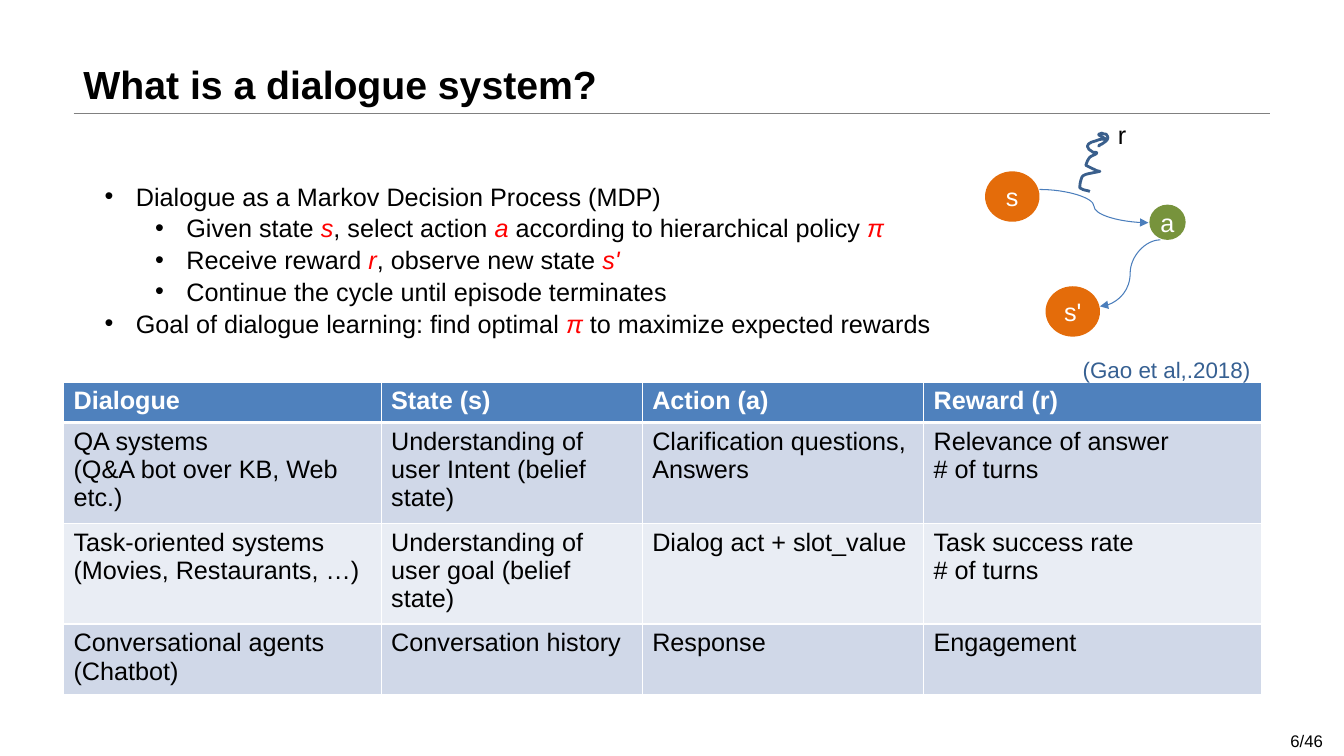
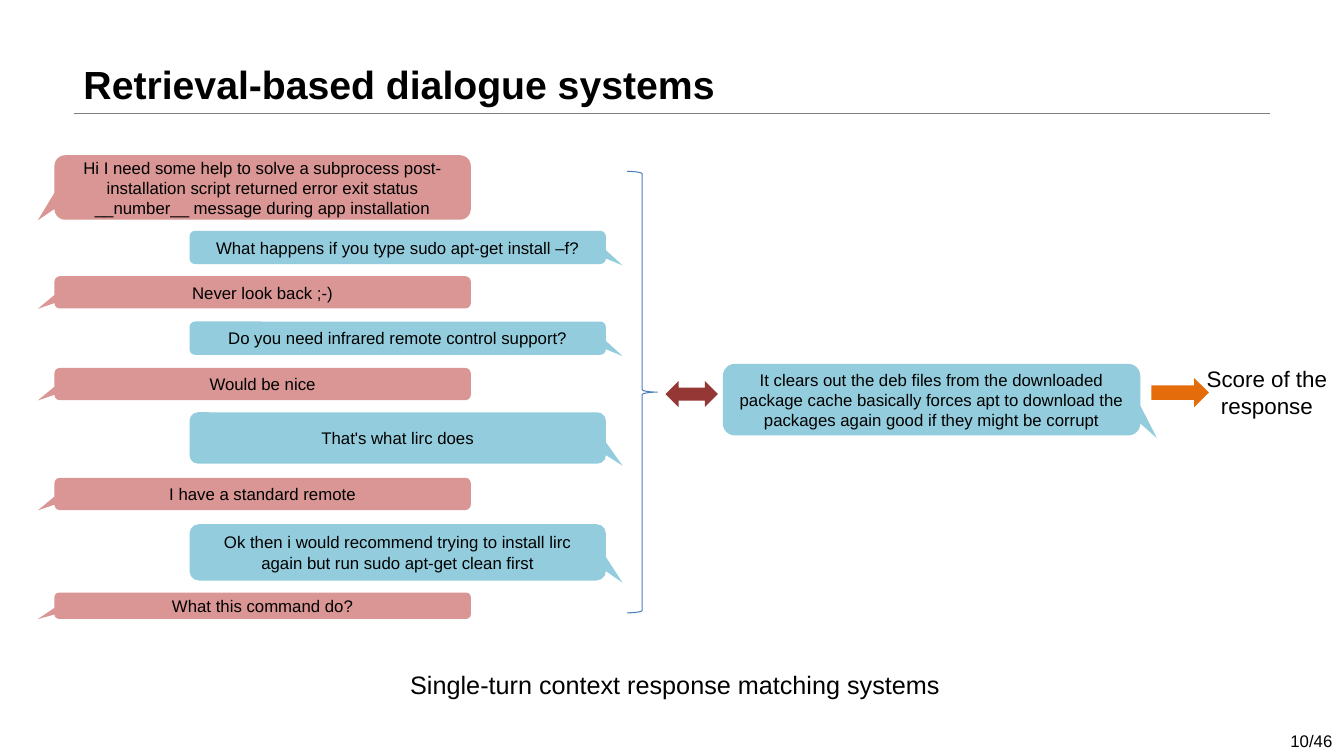
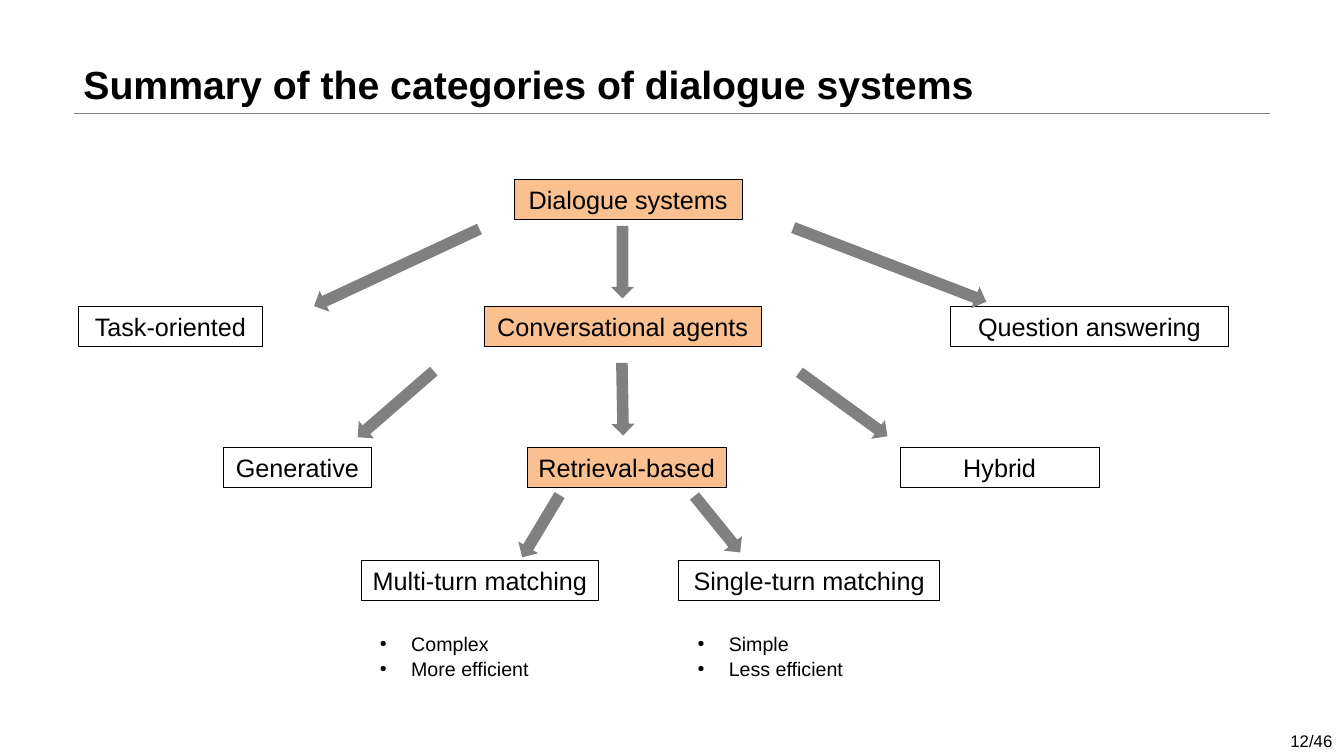
from dataclasses import dataclass

from lxml.etree import SubElement
from pptx import Presentation
from pptx.dml.color import RGBColor
from pptx.enum.shapes import MSO_CONNECTOR, MSO_SHAPE
from pptx.enum.text import MSO_ANCHOR, PP_ALIGN
from pptx.oxml.ns import qn
from pptx.util import Inches, Pt


@dataclass(frozen=True)
class Theme:
    font: str = "Arial"
    black: str = "000000"
    white: str = "FFFFFF"
    gray: str = "808080"
    red: str = "FF0000"
    orange: str = "E46C0A"
    peach: str = "FAC090"
    green: str = "77933C"
    maroon: str = "953735"
    pink: str = "D99694"
    aqua: str = "93CDDD"
    blue: str = "4F81BD"
    line_blue: str = "4B7EBC"
    scribble_blue: str = "3A5F8C"
    citation_blue: str = "366092"
    band_dark: str = "D0D8E8"
    band_light: str = "E9EDF4"
    title_size: int = 28
    body_size: int = 18
    label_size: int = 16
    list_size: int = 14
    small_size: int = 12


THEME = Theme()
PAGE_COUNT = 46

MDP_POINTS = [
    (0, "Dialogue as a Markov Decision Process (MDP)"),
    (1, "Given state |s|, select action |a| according to hierarchical policy |π|"),
    (1, "Receive reward |r|, observe new state |s'|"),
    (1, "Continue the cycle until episode terminates"),
    (0, "Goal of dialogue learning: find optimal |π| to maximize expected rewards"),
]

DIALOGUE_TABLE = [
    ["Dialogue", "State (s)", "Action (a)", "Reward (r)"],
    ["QA systems\n(Q&A bot over KB, Web etc.)",
     "Understanding of user Intent (belief state)",
     "Clarification questions, Answers",
     "Relevance of answer\n# of turns"],
    ["Task-oriented systems\n(Movies, Restaurants, …)",
     "Understanding of user goal (belief state)",
     "Dialog act + slot_value",
     "Task success rate\n# of turns"],
    ["Conversational agents\n(Chatbot)", "Conversation history", "Response", "Engagement"],
]

# Start point, then two control points and an end point for each curve.
REWARD_SCRIBBLE = [
    (10.81, 1.9),
    (10.79, 1.89), (10.77, 1.89), (10.74, 1.88),
    (10.73, 1.87), (10.71, 1.87), (10.71, 1.86),
    (10.71, 1.82), (10.72, 1.79), (10.73, 1.76),
    (10.74, 1.74), (10.75, 1.74), (10.77, 1.73),
    (10.8, 1.72), (10.87, 1.71), (10.91, 1.7),
    (10.79, 1.67), (10.93, 1.71), (10.83, 1.67),
    (10.81, 1.66), (10.77, 1.64), (10.77, 1.64),
    (10.78, 1.61), (10.79, 1.58), (10.81, 1.56),
    (10.83, 1.54), (10.86, 1.54), (10.88, 1.52),
    (10.88, 1.51), (10.86, 1.51), (10.84, 1.51),
    (10.83, 1.5), (10.81, 1.49), (10.8, 1.48),
    (10.76, 1.44), (10.81, 1.41), (10.86, 1.4),
    (10.87, 1.4), (10.88, 1.39), (10.89, 1.39),
    (10.91, 1.38), (10.94, 1.38), (10.97, 1.38),
    (10.89, 1.33), (10.87, 1.34), (10.93, 1.32),
    (10.94, 1.33), (10.96, 1.33), (10.97, 1.33),
    (11, 1.36), (10.99, 1.38), (10.97, 1.4),
    (10.9, 1.46), (10.9, 1.42), (10.9, 1.46),
]

# Top, height and text; the two speakers alternate.
CHAT_TURNS = [
    (1.54, 0.64, "Hi I need some help to solve a subprocess post-installation script "
                 "returned error exit status __number__ message during app installation"),
    (2.29, 0.33, "What happens if you type sudo apt-get install –f?"),
    (2.74, 0.32, "Never look back ;-)"),
    (3.19, 0.33, "Do you need infrared remote control support?"),
    (3.65, 0.32, "Would be nice"),
    (4.09, 0.51, "That's what lirc does"),
    (4.74, 0.32, "I have a standard remote"),
    (5.2, 0.56, "Ok then i would recommend trying to install lirc again "
                "but run sudo apt-get clean first"),
    (5.88, 0.26, "What this command do?"),
]
RESPONSE = ("It clears out the deb files from the downloaded package cache basically "
            "forces apt to download the packages again good if they might be corrupt")

# Left, top, width, text and whether the box lies on the highlighted branch.
CATEGORIES = [
    (5.1, 1.78, 2.26, "Dialogue systems", True),
    (0.78, 3.04, 1.82, "Task-oriented", False),
    (4.8, 3.04, 2.75, "Conversational agents", True),
    (9.43, 3.04, 2.75, "Question answering", False),
    (2.22, 4.44, 1.46, "Generative", False),
    (5.23, 4.44, 1.97, "Retrieval-based", True),
    (8.93, 4.44, 1.97, "Hybrid", False),
    (3.58, 5.56, 2.36, "Multi-turn matching", False),
    (6.73, 5.56, 2.59, "Single-turn matching", False),
]

# Left, top, length and rotation.
CATEGORY_ARROWS = [
    (3.82, 1.75, 1.81, 65), (6.06, 2.24, 0.72, 0), (8.71, 1.6, 2.05, 291),
    (3.81, 3.51, 1, 49), (6.06, 3.6, 0.72, 359), (8.25, 3.47, 1.08, 306),
    (5.25, 4.86, 0.72, 31), (7, 4.84, 0.72, 321),
]


def color(value):
    return RGBColor.from_string(value)


def inches(*values):
    return [Inches(value) for value in values]


def set_attributes(target, values):
    for name, value in values.items():
        setattr(target, name, value)


def add_bullet(paragraph, level):
    properties = paragraph._p.get_or_add_pPr()
    properties.set("marL", str(Inches(0.31 + 0.5 * level)))
    properties.set("indent", str(Inches(-0.31)))
    SubElement(properties, qn("a:buFont"), typeface=THEME.font)
    SubElement(properties, qn("a:buChar"), char="•")


def add_runs(paragraph, text, size, ink, bold=False):
    """Write the text; parts between bars become red italics."""
    for index, part in enumerate(text.split("|")):
        if not part:
            continue
        emphasized = index % 2 == 1
        run = paragraph.add_run()
        run.text = part
        set_attributes(run.font, {"name": THEME.font, "size": Pt(size),
                                  "bold": bold, "italic": emphasized})
        run.font.color.rgb = color(THEME.red if emphasized else ink)


def fill_frame(frame, lines, size, ink=THEME.black, bold=False, align=PP_ALIGN.LEFT, spacing=None):
    """Write one paragraph a line; a (level, text) line gets a bullet."""
    for index, line in enumerate(lines):
        paragraph = frame.add_paragraph() if index else frame.paragraphs[0]
        set_attributes(paragraph, {"alignment": align, "line_spacing": spacing})
        if isinstance(line, tuple):
            level, line = line
            paragraph.level = level
            add_bullet(paragraph, level)
        add_runs(paragraph, line, size, ink, bold)


def add_text(slide, box, lines, size, anchor=MSO_ANCHOR.TOP, **style):
    frame = slide.shapes.add_textbox(*inches(*box)).text_frame
    set_attributes(frame, {"word_wrap": True, "vertical_anchor": anchor})
    fill_frame(frame, lines, size, **style)
    return frame


def style_shape(shape, fill=None, line=None, weight=0.75):
    shape.shadow.inherit = False
    if fill:
        shape.fill.solid()
        shape.fill.fore_color.rgb = color(fill)
    else:
        shape.fill.background()
    if line:
        shape.line.color.rgb = color(line)
        shape.line.width = Pt(weight)
    else:
        shape.line.fill.background()


def add_shape(slide, kind, box, text=None, size=THEME.body_size, ink=THEME.black, **style):
    shape = slide.shapes.add_shape(kind, *inches(*box))
    style_shape(shape, **style)
    if text:
        set_attributes(shape.text_frame, {"word_wrap": True, "vertical_anchor": MSO_ANCHOR.MIDDLE})
        fill_frame(shape.text_frame, [text], size, ink, align=PP_ALIGN.CENTER)
    return shape


def add_line(slide, kind, points, ink, weight, arrow=False):
    connector = slide.shapes.add_connector(kind, *inches(*points))
    connector.line.color.rgb = color(ink)
    connector.line.width = Pt(weight)
    if arrow:
        SubElement(connector.line._get_or_add_ln(), qn("a:tailEnd"), type="triangle")
    SubElement(connector._element.spPr, qn("a:effectLst"))


def add_state(slide, box, text, fill):
    circle = add_shape(slide, MSO_SHAPE.OVAL, box, text, ink=THEME.white, fill=fill)
    set_attributes(circle.text_frame, {"margin_left": 0, "margin_right": 0,
                                       "margin_top": 0, "margin_bottom": 0})


def add_bubble(slide, box, text, from_user):
    fill, tail = (THEME.pink, (-0.54, 0.51)) if from_user else (THEME.aqua, (0.54, 0.54))
    bubble = add_shape(slide, MSO_SHAPE.ROUNDED_RECTANGULAR_CALLOUT, box, text,
                       THEME.small_size, fill=fill)
    for index, value in enumerate(tail):
        bubble.adjustments[index] = value


def add_curve(slide, points, ink, weight, steps=4):
    """Draw chained cubic curves as short segments."""
    sampled = []
    for first in range(0, len(points) - 1, 3):
        curve = points[first:first + 4]
        for step in range(1, steps + 1):
            t = step / steps
            weights = ((1 - t) ** 3, 3 * t * (1 - t) ** 2, 3 * t ** 2 * (1 - t), t ** 3)
            sampled.append(inches(*(sum(w * point[axis] for w, point in zip(weights, curve))
                                    for axis in (0, 1))))
    builder = slide.shapes.build_freeform(*inches(*points[0]))
    builder.add_line_segments(sampled, close=False)
    style_shape(builder.convert_to_shape(), line=ink, weight=weight)


def add_border(cell, side, weight):
    line = SubElement(cell._tc.get_or_add_tcPr(), qn(f"a:ln{side}"), w=str(Pt(weight)))
    SubElement(SubElement(line, qn("a:solidFill")), qn("a:srgbClr"), val=THEME.white)


def add_table(slide, box, column_widths, row_heights, rows):
    table = slide.shapes.add_table(len(rows), len(rows[0]), *inches(*box)).table
    for column, width in zip(table.columns, column_widths):
        column.width = Inches(width)
    for index, (height, texts) in enumerate(zip(row_heights, rows)):
        table.rows[index].height = Inches(height)
        header = index == 0
        fill = THEME.blue if header else (THEME.band_light, THEME.band_dark)[index % 2]
        ink = THEME.white if header else THEME.black
        weights = {"L": 1, "R": 1, "T": 3 if index == 1 else 1, "B": 3 if header else 1}
        for cell, text in zip(table.rows[index].cells, texts):
            for side, weight in weights.items():
                add_border(cell, side, weight)
            cell.fill.solid()
            cell.fill.fore_color.rgb = color(fill)
            fill_frame(cell.text_frame, text.split("\n"), THEME.body_size, ink, header)


def add_slide(presentation, title, page):
    """Add a slide with the shared title, rule and page number."""
    slide = presentation.slides.add_slide(presentation.slide_layouts[6])
    add_line(slide, MSO_CONNECTOR.STRAIGHT, (0.73, 1.12, 12.6, 1.12), THEME.gray, 0.25)
    add_text(slide, (0.73, 0, 11.86, 1.12), [title], THEME.title_size,
             MSO_ANCHOR.BOTTOM, bold=True, spacing=0.9)
    number = add_text(slide, (12.7, 7.2, 0.62, 0.3), [f"{page}/{PAGE_COUNT}"], THEME.small_size)
    number.margin_right = 0
    return slide


def build_definition(presentation):
    slide = add_slide(presentation, "What is a dialogue system?", 6)
    add_text(slide, (0.94, 1.73, 11.7, 1.62), MDP_POINTS, THEME.body_size, spacing=1.05)
    add_table(slide, (0.63, 3.79, 11.88, 3.1), (3.15, 2.59, 2.79, 3.35),
              (0.4, 1, 1, 0.7), DIALOGUE_TABLE)
    add_state(slide, (9.77, 1.7, 0.54, 0.5), "s", THEME.orange)
    add_state(slide, (10.37, 2.84, 0.54, 0.5), "s'", THEME.orange)
    add_state(slide, (11.4, 2.03, 0.36, 0.35), "a", THEME.green)
    for points in ((10.31, 1.88, 11.39, 2.21), (11.51, 2.38, 10.91, 3.04)):
        add_line(slide, MSO_CONNECTOR.CURVE, points, THEME.line_blue, 0.75, arrow=True)
    add_curve(slide, REWARD_SCRIBBLE, THEME.scribble_blue, 2)
    add_text(slide, (10.99, 1.13, 0.34, 0.4), ["r"], THEME.body_size)
    add_text(slide, (10.64, 3.48, 2.13, 0.37), ["(Gao et al,.2018)"], THEME.label_size,
             ink=THEME.citation_blue)


def build_retrieval(presentation):
    slide = add_slide(presentation, "Retrieval-based dialogue systems", 10)
    for index, (top, height, text) in enumerate(CHAT_TURNS):
        from_user = index % 2 == 0
        add_bubble(slide, (0.54 if from_user else 1.88, top, 4.13, height), text, from_user)
    add_shape(slide, MSO_SHAPE.RIGHT_BRACE, (6.22, 1.7, 0.3, 4.38), line=THEME.line_blue)
    add_shape(slide, MSO_SHAPE.LEFT_RIGHT_ARROW, (6.6, 3.78, 0.52, 0.26), fill=THEME.maroon)
    add_bubble(slide, (7.17, 3.61, 4.14, 0.71), RESPONSE, False)
    add_shape(slide, MSO_SHAPE.RIGHT_ARROW, (11.42, 3.75, 0.57, 0.29), fill=THEME.orange)
    add_text(slide, (11.77, 3.57, 1.59, 0.64), ["Score of the response"], THEME.label_size,
             align=PP_ALIGN.CENTER)
    add_text(slide, (3.97, 6.59, 5.65, 0.4), ["Single-turn context response matching systems"],
             THEME.body_size)


def build_summary(presentation):
    slide = add_slide(presentation, "Summary of the categories of dialogue systems", 12)
    for left, top, width, text, highlighted in CATEGORIES:
        add_shape(slide, MSO_SHAPE.RECTANGLE, (left, top, width, 0.4), text,
                  fill=THEME.peach if highlighted else None, line=THEME.black, weight=0.5)
    for left, top, length, rotation in CATEGORY_ARROWS:
        arrow = add_shape(slide, MSO_SHAPE.DOWN_ARROW, (left, top, 0.23, length), fill=THEME.gray)
        arrow.rotation = rotation
    for left, traits in ((3.67, ("Complex", "More efficient")), (6.82, ("Simple", "Less efficient"))):
        add_text(slide, (left, 6.21, 3, 0.57), [(0, trait) for trait in traits],
                 THEME.list_size, spacing=1.05)


def main():
    presentation = Presentation()
    set_attributes(presentation, {"slide_width": Inches(13.33), "slide_height": Inches(7.5)})
    build_definition(presentation)
    build_retrieval(presentation)
    build_summary(presentation)
    presentation.save("out.pptx")


if __name__ == "__main__":
    main()
